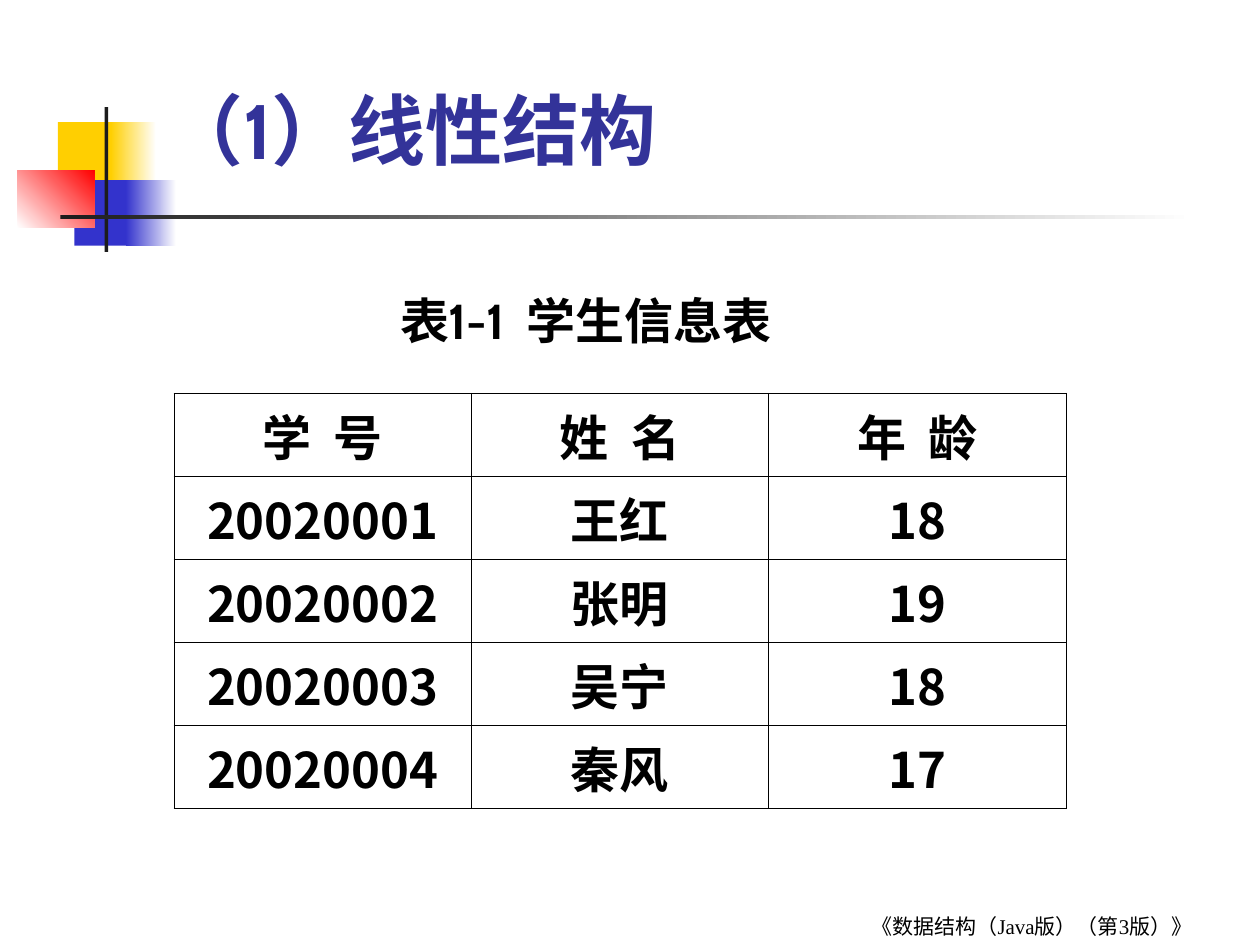
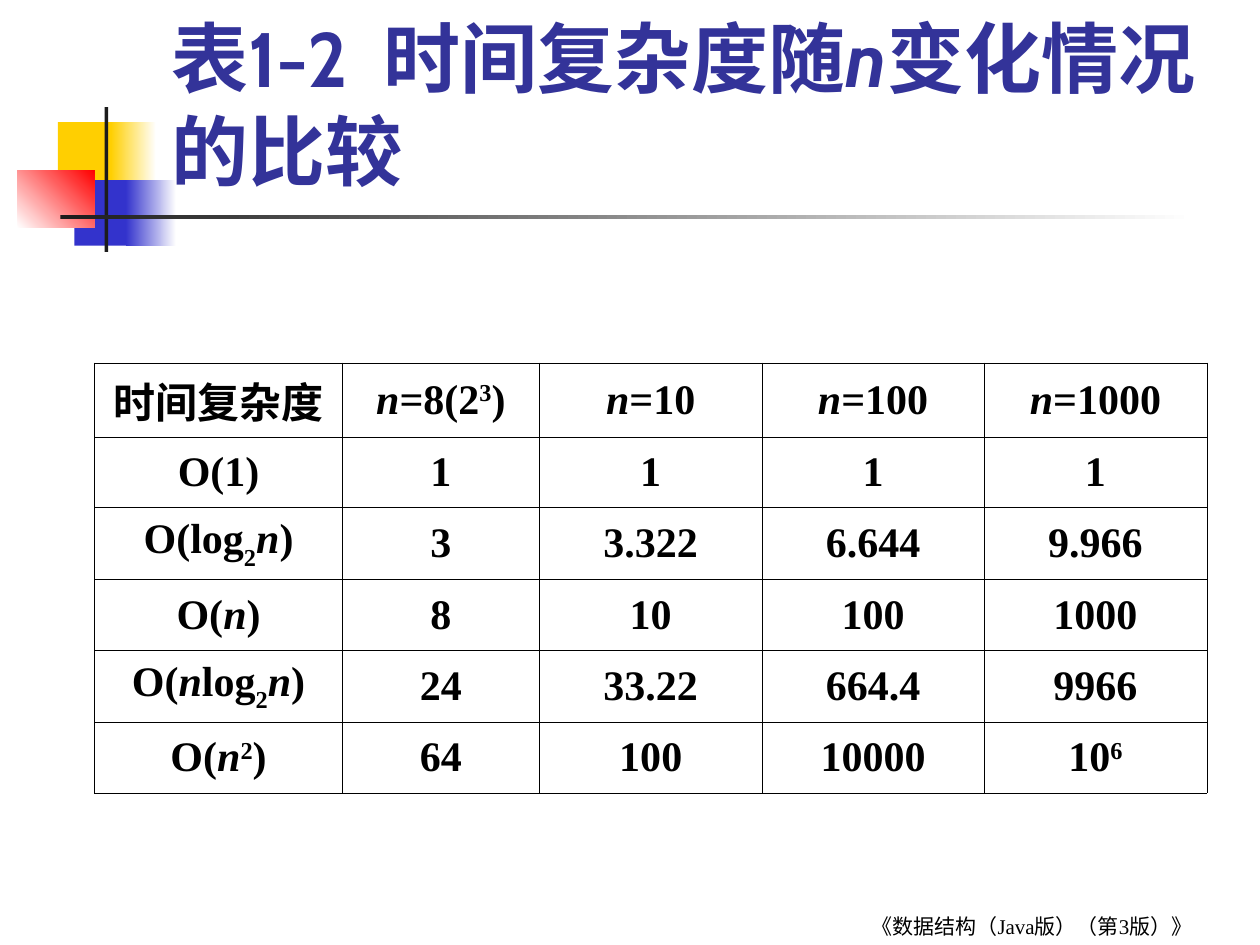
"""Build two slides of tables on linear structures and time complexity."""
import itertools

import lxml.etree
import pptx
import pptx.dml.color
import pptx.enum.shapes
import pptx.enum.text
import pptx.oxml.ns
import pptx.util

Inches = pptx.util.Inches
Pt = pptx.util.Pt
qn = pptx.oxml.ns.qn
ANCHOR = pptx.enum.text.MSO_ANCHOR
ALIGN = pptx.enum.text.PP_ALIGN

COLOURS = {
    "title": "333399",
    "text": "000000",
    "yellow": "FFCF01",
    "blue": "3333CC",
    "red": "FF0000",
    "bar": "1C1C1C",
    "white": "FFFFFF",
}
CJK_FONT = "Noto Sans CJK SC"
FORMATS = {
    "title": {"name": "Cabin", "size": Pt(44), "bold": True},
    "caption": {"name": "Cabin", "size": Pt(28), "bold": True},
    "student": {"name": CJK_FONT, "size": Pt(28), "bold": True},
    "complexity": {"name": "Times New Roman", "size": Pt(24), "bold": True},
    "footer": {"name": "Times New Roman", "size": Pt(12), "bold": False},
}
BASELINES = {"^": 30000, "_": -30000}
ORNAMENTS = [
    ((0.46, 0.97, 0.48, 0.52), ["yellow"], 0),
    ((0.88, 0.97, 0.36, 0.52), ["yellow", "white"], 0),
    ((0.59, 1.43, 0.46, 0.52), ["blue"], 0),
    ((1, 1.43, 0.4, 0.52), ["blue", "white"], 0),
    ((0.14, 1.35, 0.61, 0.46), ["white", "red"], 45),
    ((0.83, 0.85, 0.03, 1.15), ["bar"], 0),
    ((0.48, 1.71, 9, 0.03), ["bar", "white"], 0),
]
HAIRLINE, SIDE_LINE, HEADER_LINE = 0.45, 0.34, 0.96
STUDENTS = [
    ["学  号", "姓  名", "年  龄"],
    ["20020001", "王红", "18"],
    ["20020002", "张明", "19"],
    ["20020003", "吴宁", "18"],
    ["20020004", "秦风", "17"],
]
COMPLEXITIES = [
    ["时间复杂度", "n=8(2^3)", "n=10", "n=100", "n=1000"],
    ["O(1)", "1", "1", "1", "1"],
    ["O(log_2n)", "3", "3.322", "6.644", "9.966"],
    ["O(n)", "8", "10", "100", "1000"],
    ["O(nlog_2n)", "24", "33.22", "664.4", "9966"],
    ["O(n^2)", "64", "100", "10000", "10^6"],
]


def rgb(colour):
    return pptx.dml.color.RGBColor.from_string(COLOURS[colour])


def split_spans(text):
    marked, baseline = [], 0
    for letter in text:
        if letter in BASELINES:
            baseline = BASELINES[letter]
        else:
            marked.append((letter, letter == "n", baseline))
            baseline = 0
    for (italic, baseline), group in itertools.groupby(marked, lambda item: item[1:]):
        yield "".join(item[0] for item in group), italic, baseline


class SlideBuilder:
    def __init__(self, deck):
        self.deck = deck
        self.page = None

    def start(self, title, at):
        self.page = self.deck.slides.add_slide(self.deck.slide_layouts[6])
        for place, colours, angle in ORNAMENTS:
            self.ornament(place, colours, angle)
        self.text(title, at, "title", "title", ALIGN.LEFT)

    def ornament(self, at, colours, angle):
        shape = self.page.shapes.add_shape(
            pptx.enum.shapes.MSO_SHAPE.RECTANGLE, *map(Inches, at))
        shape.shadow.inherit = False
        shape.line.fill.background()
        if len(colours) == 1:
            shape.fill.solid()
            shape.fill.fore_color.rgb = rgb(colours[0])
            return
        shape.fill.gradient()
        shape.fill.gradient_angle = angle
        for stop, colour in zip(shape.fill.gradient_stops, colours):
            stop.color.rgb = rgb(colour)

    def fill_para(self, para, text, style, colour="text", align=ALIGN.CENTER):
        para.alignment = align
        for words, italic, baseline in split_spans(text):
            span = para.add_run()
            span.text = words
            for key, value in {**FORMATS[style], "italic": italic}.items():
                setattr(span.font, key, value)
            span.font.color.rgb = rgb(colour)
            properties = span._r.get_or_add_rPr()
            lxml.etree.SubElement(properties, qn("a:ea"), typeface=CJK_FONT)
            if baseline:
                properties.set("baseline", str(baseline))

    def text(self, text, at, style, colour="text", align=ALIGN.CENTER, **margins):
        frame = self.page.shapes.add_textbox(*map(Inches, at)).text_frame
        layout = {"word_wrap": True, "vertical_anchor": ANCHOR.BOTTOM, **margins}
        for key, value in layout.items():
            setattr(frame, key, value)
        self.fill_para(frame.paragraphs[0], text, style, colour, align)

    def borders(self, cell, widths):
        properties = cell._tc.get_or_add_tcPr()
        for side, width in widths.items():
            line = lxml.etree.SubElement(
                properties, qn("a:ln" + side), w=str(int(Pt(width))))
            fill = lxml.etree.SubElement(line, qn("a:solidFill"))
            lxml.etree.SubElement(fill, qn("a:srgbClr"), val=COLOURS["text"])

    def table(self, rows, at, widths, heights, style, anchor, side_line, header_line):
        table = self.page.shapes.add_table(
            len(rows), len(widths), *map(Inches, at)).table
        table.first_row = table.horz_banding = False
        for column, width in zip(table.columns, widths):
            column.width = Inches(width)
        for row, height in zip(table.rows, heights):
            row.height = Inches(height)
        last = len(widths) - 1
        for down, values in enumerate(rows):
            for across, value in enumerate(values):
                cell = table.cell(down, across)
                self.borders(cell, {
                    "L": side_line if across == 0 else HAIRLINE,
                    "R": side_line if across == last else HAIRLINE,
                    "T": header_line if down == 1 else HAIRLINE,
                    "B": header_line if down == 0 else HAIRLINE,
                })
                cell.fill.background()
                cell.vertical_anchor = anchor
                self.fill_para(cell.text_frame.paragraphs[0], value, style)

    def footer(self):
        self.text("《数据结构（Java版）（第3版）》", (6.38, 7.26, 3.62, 0.24), "footer")


def main():
    deck = pptx.Presentation()
    deck.slide_width, deck.slide_height = Inches(10), Inches(7.5)
    builder = SlideBuilder(deck)

    builder.start("（1）线性结构", (1.22, 0.52, 8.52, 0.92))
    builder.table(STUDENTS, (1.38, 3.12, 7.09, 3.32), [2.36] * 3, [0.66] * 5,
                  "student", ANCHOR.TOP, SIDE_LINE, HEADER_LINE)
    builder.text("表1-1  学生信息表", (1.85, 2.18, 5.75, 0.68), "caption",
                 margin_right=Inches(0.25), margin_bottom=Inches(0.09))
    builder.footer()

    builder.start("表1-2  时间复杂度随n变化情况的比较", (1.26, 0.68, 8.52, 0.92))
    builder.table(COMPLEXITIES, (0.75, 2.88, 8.82, 3.39),
                  [1.97, 1.56, 1.77, 1.76, 1.77], [0.59] + [0.56] * 5,
                  "complexity", ANCHOR.MIDDLE, HAIRLINE, HAIRLINE)
    builder.footer()

    deck.save("out.pptx")


if __name__ == "__main__":
    main()
